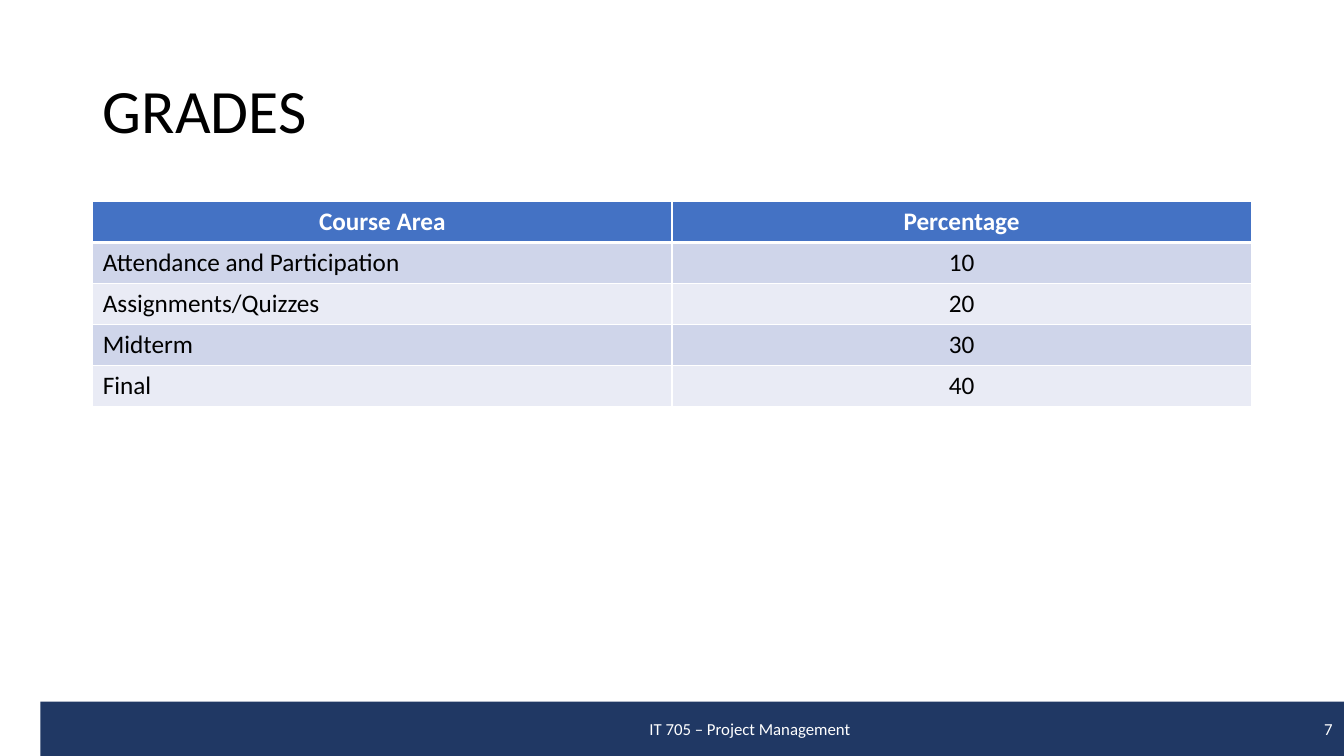
import pptx
import pptx.dml.color
import pptx.enum.shapes
import pptx.enum.text
import pptx.oxml
import pptx.oxml.ns
import pptx.util

COLORS = {
    "black": "000000",
    "white": "FFFFFF",
    "header": "4472C4",
    "odd row": "CFD5EA",
    "even row": "E9EBF5",
    "footer": "203864",
}
WIDTH, HEIGHT = pptx.util.Inches(13.33), pptx.util.Inches(7.5)
MARGIN = 0.92 / 13.33
CONTENT = 1 - 2 * MARGIN
GRADES = [
    ("Course Area", "Percentage"),
    ("Attendance and Participation", "10"),
    ("Assignments/Quizzes", "20"),
    ("Midterm", "30"),
    ("Final", "40"),
]
ALIGN = pptx.enum.text.PP_ALIGN
MIDDLE = pptx.enum.text.MSO_ANCHOR.MIDDLE


def color(name):
    return pptx.dml.color.RGBColor.from_string(COLORS[name])


def area(left, top, width, height):
    return [round(share * side) for share, side in
            zip((left, top, width, height), (WIDTH, HEIGHT) * 2)]


def fill(element, name):
    element.fill.solid()
    element.fill.fore_color.rgb = color(name)


def write(frame, text, size=18, font_color="black", bold=False,
          align=ALIGN.LEFT, spacing=1.0, anchor=None, tabs=()):
    paragraph = frame.paragraphs[0]
    paragraph.alignment = align
    paragraph.line_spacing = spacing
    if tabs:
        stops = "".join(f'<a:tab pos="{pptx.util.Inches(position)}" algn="{kind}"/>'
                        for position, kind in tabs)
        paragraph._p.get_or_add_pPr().append(pptx.oxml.parse_xml(
            f'<a:tabLst {pptx.oxml.ns.nsdecls("a")}>{stops}</a:tabLst>'))
    run = paragraph.add_run()
    run.text = text
    run.font.name = "Calibri"
    run.font.size = pptx.util.Pt(size)
    run.font.bold = bold
    run.font.color.rgb = color(font_color)
    if anchor is not None:
        frame.vertical_anchor = anchor


def add_title(slide, text):
    title = slide.shapes.title
    title.left, title.top, title.width, title.height = area(MARGIN, 0.4 / 7.5, CONTENT, 1.45 / 7.5)
    title.text_frame.auto_size = pptx.enum.text.MSO_AUTO_SIZE.NONE
    write(title.text_frame, text, size=44, spacing=0.9, anchor=MIDDLE)


def add_borders(cell, **widths):
    properties = cell._tc.get_or_add_tcPr()
    for side in "LRTB":
        width = pptx.util.Pt(widths.get(side, 1))
        properties.append(pptx.oxml.parse_xml(
            f'<a:ln{side} {pptx.oxml.ns.nsdecls("a")} w="{width}"><a:solidFill>'
            f'<a:srgbClr val="{COLORS["white"]}"/></a:solidFill></a:ln{side}>'))


def add_grades_table(slide, rows):
    bounds = area(MARGIN, 2 / 7.5, CONTENT, 2.03 / 7.5)
    table = slide.shapes.add_table(len(rows), len(rows[0]), *bounds).table
    for row, texts in enumerate(rows):
        header = row == 0
        row_color = "header" if header else "odd row" if row % 2 else "even row"
        for column, text in enumerate(texts):
            cell = table.cell(row, column)
            add_borders(cell, T=3 if row == 1 else 1, B=3 if header else 1)
            fill(cell, row_color)
            write(cell.text_frame, text, bold=header,
                  font_color="white" if header else "black",
                  align=ALIGN.CENTER if header or column else ALIGN.LEFT)


def add_footer(slide, course, number):
    bar = slide.shapes.add_shape(pptx.enum.shapes.MSO_SHAPE.RECTANGLE,
                                 *area(0.03, 0.928, 0.97, 0.072))
    bar.shadow.inherit = False
    fill(bar, "footer")
    bar.line.fill.background()
    write(bar.text_frame, f"\t{course}\t{number}", size=12, font_color="white",
          anchor=MIDDLE, tabs=[(6.94, "ctr"), (12.72, "r")])


def main():
    presentation = pptx.Presentation()
    presentation.slide_width, presentation.slide_height = WIDTH, HEIGHT
    slide = presentation.slides.add_slide(presentation.slide_layouts[5])
    add_title(slide, "GRADES")
    add_grades_table(slide, GRADES)
    add_footer(slide, "IT 705 – Project Management", 7)
    presentation.save("out.pptx")


if __name__ == "__main__":
    main()
